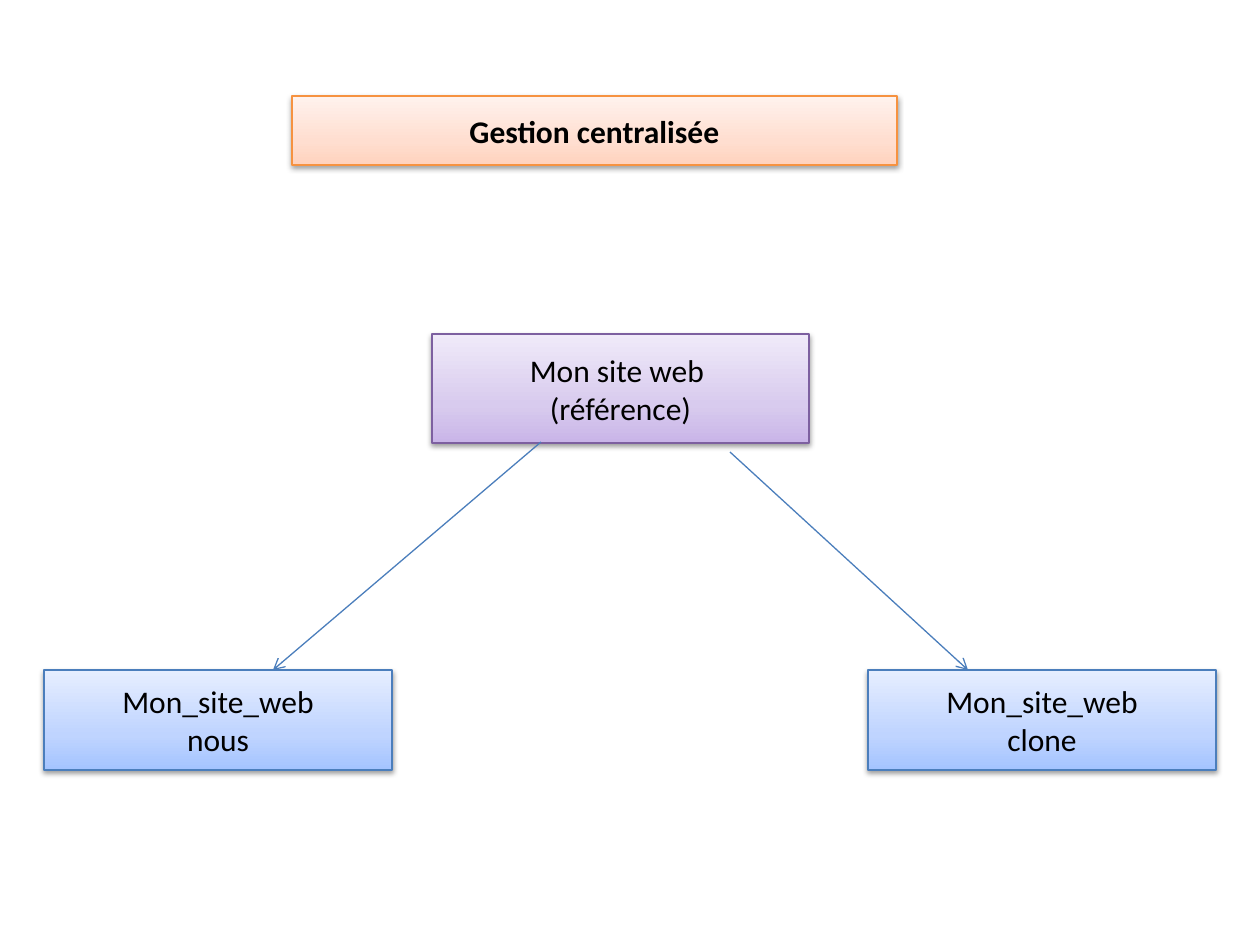
from copy import deepcopy

from lxml import etree
from pptx import Presentation
from pptx.dml.color import RGBColor
from pptx.enum.shapes import MSO_CONNECTOR, MSO_SHAPE
from pptx.enum.text import MSO_ANCHOR, PP_ALIGN
from pptx.oxml.ns import qn
from pptx.util import Pt

PX = 914400 / 126
RECTANGLE = MSO_SHAPE.RECTANGLE
STRAIGHT = MSO_CONNECTOR.STRAIGHT
MIDDLE = MSO_ANCHOR.MIDDLE
CENTER = PP_ALIGN.CENTER

BLACK = RGBColor(0x00, 0x00, 0x00)
ORANGE = RGBColor(0xF6, 0x92, 0x40)
PURPLE = RGBColor(0x7D, 0x60, 0xA0)
BLUE = RGBColor(0x4B, 0x7E, 0xBC)
ORANGE_SHADES = (RGBColor(0xFF, 0xD2, 0xBD), RGBColor(0xFF, 0xDE, 0xD0), RGBColor(0xFF, 0xF2, 0xED))
PURPLE_SHADES = (RGBColor(0xC9, 0xB5, 0xE8), RGBColor(0xD8, 0xCB, 0xEE), RGBColor(0xF0, 0xEA, 0xF9))
BLUE_SHADES = (RGBColor(0xA4, 0xC4, 0xFF), RGBColor(0xBF, 0xD4, 0xFF), RGBColor(0xE6, 0xEE, 0xFF))
STOP_POSITIONS = (0, 0.35, 1)

LABEL_FORMAT = {"name": "Calibri", "size": Pt(18)}
SHADOW_FORMAT = {"blurRad": "40000", "dist": "20000", "dir": "5400000", "rotWithShape": "0"}

SITES = [
    ("Gestion centralisée", (292, 96, 605, 69), ORANGE_SHADES, ORANGE, True),
    ("Mon site web \n(référence)", (432, 334, 377, 109), PURPLE_SHADES, PURPLE, False),
    ("Mon_site_web\nnous", (44, 670, 348, 100), BLUE_SHADES, BLUE, False),
    ("Mon_site_web\nclone", (868, 670, 348, 100), BLUE_SHADES, BLUE, False),
]
CLONE_ROUTES = [(541, 442, 273, 670), (730, 452, 968, 670)]


def emu(lengths):
    return [round(length * PX) for length in lengths]


presentation = Presentation()
presentation.slide_width, presentation.slide_height = emu((1260, 945))
slide = presentation.slides.add_slide(presentation.slide_layouts[6])

for label, bounds, shades, border, bold in SITES:
    site = slide.shapes.add_shape(RECTANGLE, *emu(bounds))
    site.line.color.rgb = border
    site.line.width = Pt(0.75)

    site.fill.gradient()
    site.fill.gradient_angle = 90
    properties = site._element.spPr
    stop_list = properties.find(".//" + qn("a:gsLst"))
    stop_list.append(deepcopy(stop_list[-1]))
    for stop, position, shade in zip(site.fill.gradient_stops, STOP_POSITIONS, shades):
        stop.position = position
        stop.color.rgb = shade

    site.shadow.inherit = False
    effects = properties.find(qn("a:effectLst"))
    shadow = etree.SubElement(effects, qn("a:outerShdw"), SHADOW_FORMAT)
    shadow_color = etree.SubElement(shadow, qn("a:srgbClr"), val="000000")
    etree.SubElement(shadow_color, qn("a:alpha"), val="38000")

    site.text_frame.word_wrap = True
    site.text_frame.vertical_anchor = MIDDLE
    paragraph = site.text_frame.paragraphs[0]
    paragraph.text = label
    paragraph.alignment = CENTER
    for run in paragraph.runs:
        for attribute, value in LABEL_FORMAT.items():
            setattr(run.font, attribute, value)
        run.font.bold = bold
        run.font.color.rgb = BLACK

for route in CLONE_ROUTES:
    arrow = slide.shapes.add_connector(STRAIGHT, *emu(route))
    arrow.line.color.rgb = BLUE
    arrow.line.width = Pt(0.75)
    etree.SubElement(arrow.line._get_or_add_ln(), qn("a:tailEnd"), type="arrow")
    etree.SubElement(arrow._element.spPr, qn("a:effectLst"))

presentation.save("out.pptx")
